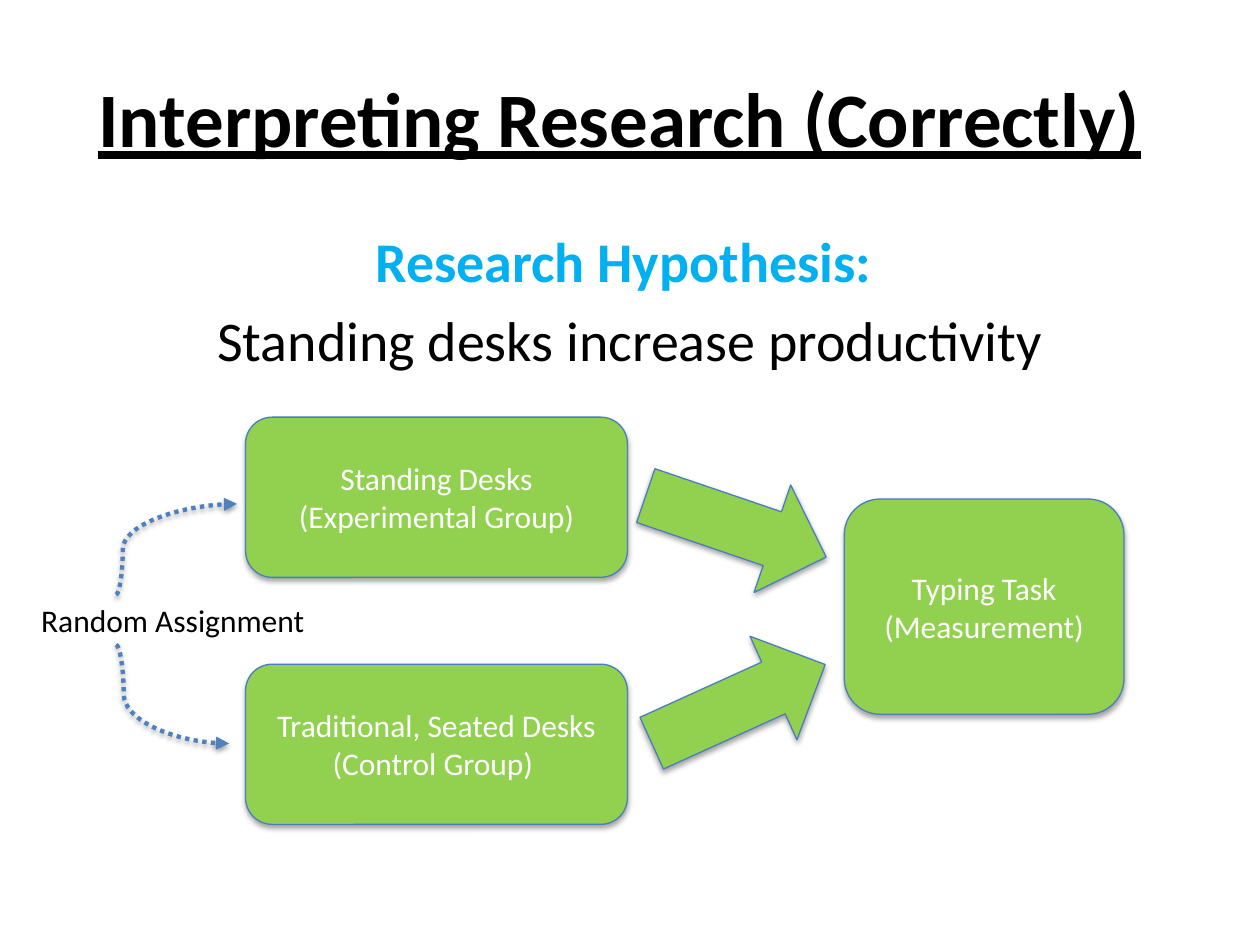
from lxml.etree import SubElement
from pptx import Presentation
from pptx.dml.color import RGBColor
from pptx.enum.dml import MSO_LINE_DASH_STYLE as Dash
from pptx.enum.shapes import MSO_CONNECTOR_TYPE as Link, MSO_SHAPE as Shape
from pptx.enum.text import MSO_ANCHOR as Anchor, MSO_AUTO_SIZE as Fit, PP_ALIGN as Align
from pptx.oxml.ns import qn
from pptx.util import Cm, Pt

GREEN, OUTLINE, LINK_BLUE = "92D050", "4B7EBC", "4F81BD"
WHITE, BLACK, SKY = "FFFFFF", "000000", "00B0F0"


def color(hex_code):
    """Turn a hex string into a colour."""
    return RGBColor.from_string(hex_code)


def place(left, top, width, height):
    """Convert a box in centimetres to lengths."""
    return [Cm(value) for value in (left, top, width, height)]


def write(frame, lines, align=Align.CENTER, space_before=0):
    """Fill a text frame with (text, colour, font format) lines."""
    frame.word_wrap = True
    for index, (text, hex_code, font_format) in enumerate(lines):
        line = frame.add_paragraph() if index else frame.paragraphs[0]
        line.alignment = align
        line.space_before = Pt(space_before)
        run = line.add_run()
        run.text = text
        run.font.color.rgb = color(hex_code)
        for name, value in {"name": "Calibri", **font_format}.items():
            setattr(run.font, name, value)


def cast_shadow(properties, opacity, distance):
    """Put a soft downward shadow on shape properties."""
    effects = properties.find(qn("a:effectLst"))
    if effects is None:
        effects = SubElement(properties, qn("a:effectLst"))
    shadow = SubElement(effects, qn("a:outerShdw"), blurRad=str(Pt(3.1)),
                        dist=str(Pt(distance)), dir="5400000", rotWithShape="0")
    black = SubElement(shadow, qn("a:srgbClr"), val=BLACK)
    SubElement(black, qn("a:alpha"), val=str(opacity * 1000))


def add_text(slide, box, lines, anchor=Anchor.TOP, fit=Fit.NONE, **layout):
    """Add a text box."""
    frame = slide.shapes.add_textbox(*place(*box)).text_frame
    write(frame, lines, **layout)
    frame.vertical_anchor = anchor
    frame.auto_size = fit


def add_green(slide, kind, box, rotation=0):
    """Add a green outlined shape with a shadow."""
    shape = slide.shapes.add_shape(kind, *place(*box))
    shape.rotation = rotation
    shape.fill.solid()
    shape.fill.fore_color.rgb = color(GREEN)
    shape.line.color.rgb = color(OUTLINE)
    shape.line.width = Pt(0.75)
    shape.shadow.inherit = False
    cast_shadow(shape._element.spPr, 35, 1.8)
    return shape


def add_stage(slide, box, *labels):
    """Add a rounded study stage with centred labels."""
    stage = add_green(slide, Shape.ROUNDED_RECTANGLE, box)
    write(stage.text_frame, [(label, WHITE, {"size": Pt(18)}) for label in labels])
    stage.text_frame.vertical_anchor = Anchor.MIDDLE


def add_assignment(slide, start, end, bend):
    """Add a dotted curved arrow that bends at a share of its width."""
    curve = slide.shapes.add_connector(Link.CURVE, *place(*start, *end))
    for name, value in {"width": Pt(2.5), "dash_style": Dash.ROUND_DOT}.items():
        setattr(curve.line, name, value)
    curve.line.color.rgb = color(LINK_BLUE)
    properties = curve._element.spPr
    SubElement(properties.find(qn("a:ln")), qn("a:tailEnd"), type="triangle")
    SubElement(properties.find(qn("a:prstGeom")).find(qn("a:avLst")), qn("a:gd"),
               name="adj1", fmla=f"val {round(bend * 100000)}")
    cast_shadow(properties, 38, 1.6)


def main():
    """Build and save the slide."""
    deck = Presentation()
    deck.slide_width, deck.slide_height = Cm(25.4), Cm(19.05)
    slide = deck.slides.add_slide(deck.slide_layouts[6])

    heading = {"size": Pt(44), "bold": True, "underline": True}
    add_text(slide, (1.07, 0.76, 22.86, 3.18),
             [("Interpreting Research (Correctly)", BLACK, heading)], Anchor.MIDDLE)
    add_text(slide, (1.27, 4.45, 22.86, 3.96),
             [("Research Hypothesis: ", SKY, {"size": Pt(32), "bold": True}),
              ("Standing desks increase productivity", BLACK, {"size": Pt(32)})],
             space_before=6.4)

    groups = [(8.41, "Standing Desks", "(Experimental Group)"),
              (13.39, "Traditional, Seated Desks", "(Control Group) ")]
    for top, *labels in groups:
        add_stage(slide, (4.95, top, 7.7, 3.23), *labels)
    for left, top, rotation in ((13.69, 8.69, 108.8), (13.74, 12.27, 65.6)):
        add_green(slide, Shape.UP_ARROW, (left, top, 2.29, 3.84), rotation)
    add_stage(slide, (17.02, 10.06, 5.64, 4.34), "Typing Task (Measurement)")

    add_text(slide, (0.58, 11.99, 8.03, 1.02),
             [("Random Assignment", BLACK, {"size": Pt(18)})],
             fit=Fit.SHAPE_TO_FIT_TEXT, align=Align.LEFT)
    add_assignment(slide, (2.34, 11.99), (4.78, 10.16), 0.056)
    add_assignment(slide, (2.34, 13), (4.62, 14.99), 0.068)
    deck.save("out.pptx")


if __name__ == "__main__":
    main()
